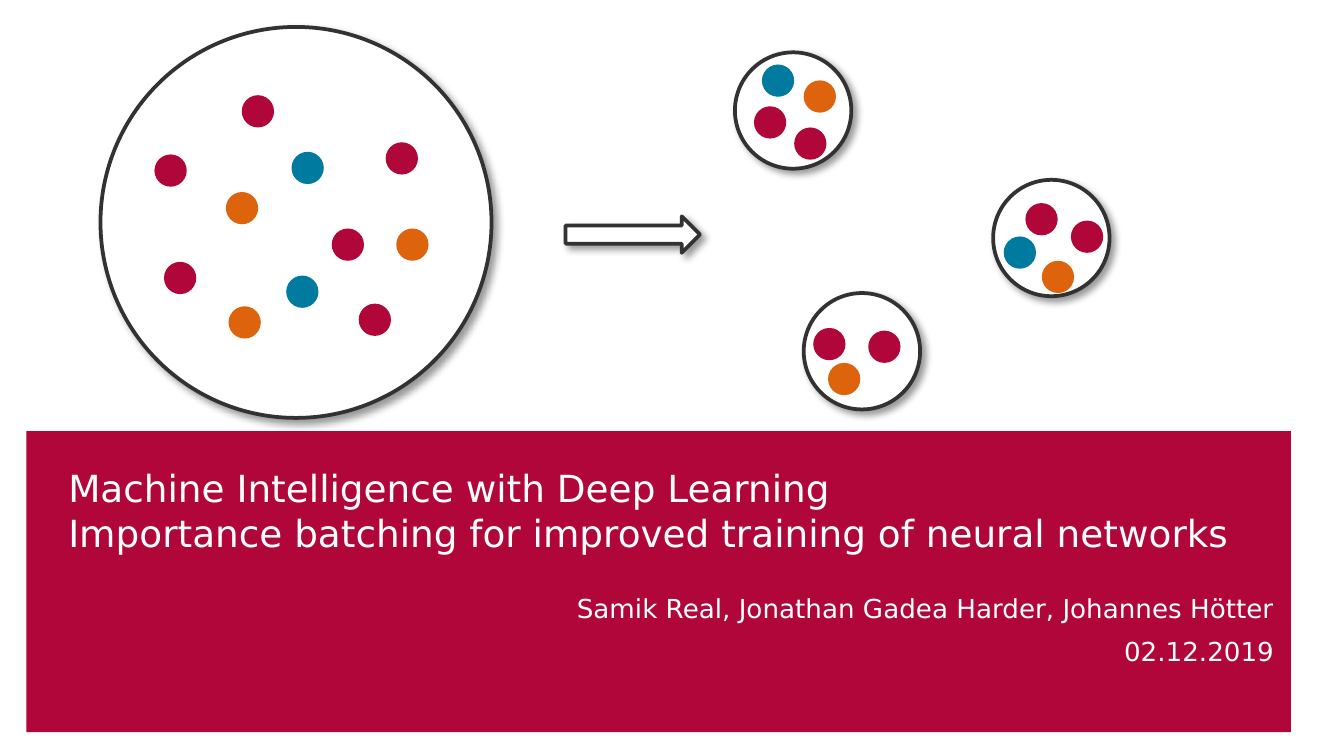
from lxml.etree import SubElement
from pptx import Presentation
from pptx.dml.color import RGBColor
from pptx.enum.shapes import MSO_SHAPE as Preset
from pptx.enum.text import MSO_ANCHOR as Anchor, MSO_AUTO_SIZE as AutoSize, PP_ALIGN as Align
from pptx.oxml.ns import qn
from pptx.util import Cm, Pt

RED = RGBColor(0xB1, 0x06, 0x3A)
ORANGE = RGBColor(0xDD, 0x64, 0x0C)
BLUE = RGBColor(0x00, 0x7A, 0x9E)
DARK = RGBColor(0x32, 0x32, 0x32)
WHITE = RGBColor(0xFF, 0xFF, 0xFF)
FONT = "DejaVu Sans"

TITLE_LINES = [
    "Machine Intelligence with Deep Learning",
    "Importance batching for improved training of neural networks",
]
DETAILS = ["Samik Real, Jonathan Gadea Harder, Johannes Hötter", "02.12.2019"]

# Lengths in centimetres: left, top, width, height
PANEL = (0.5, 8.15, 23.9, 5.69)
TITLE_BOX = (0.99, 8.13, 23.39, 2.87)
DETAILS_BOX = (0.99, 11, 23.39, 2.34)
ARROW = (10.69, 4.09, 2.54, 0.69)
SAMPLE_SIZE = 0.61
BATCH_SIZE = 2.2

# Each set: left, top, diameter, then the left and top of its samples by colour
SAMPLE_SETS = [
    (1.9, 0.51, 7.39, {
        RED: [(4.57, 1.8), (7.29, 2.69), (3.1, 4.95), (6.78, 5.74), (2.92, 2.92), (6.27, 4.32)],
        ORANGE: [(4.27, 3.63), (7.49, 4.32), (4.32, 5.79)],
        BLUE: [(5.41, 5.21), (5.51, 2.87)],
    }),
    (15.19, 5.54, BATCH_SIZE, {
        ORANGE: [(15.65, 6.86)],
        RED: [(15.37, 6.2), (16.41, 6.25)],
    }),
    (13.89, 0.99, BATCH_SIZE, {
        BLUE: [(14.4, 1.22)],
        ORANGE: [(15.19, 1.52)],
        RED: [(14.25, 2.01), (15.01, 2.41)],
    }),
    (18.77, 3.4, BATCH_SIZE, {
        BLUE: [(18.97, 4.47)],
        ORANGE: [(19.69, 4.93)],
        RED: [(19.38, 3.84), (20.24, 4.17)],
    }),
]


def add_filled(shapes, preset, box, color):
    shape = shapes.add_shape(preset, *map(Cm, box))
    shape.shadow.inherit = False
    shape.fill.solid()
    shape.fill.fore_color.rgb = color
    shape.line.fill.background()
    return shape


def add_outlined(shapes, preset, box):
    """Add a white shape with a dark outline and a soft shadow to the lower right."""
    shape = add_filled(shapes, preset, box, WHITE)
    shape.line.color.rgb = DARK
    shape.line.width = Pt(2)
    effects = shape.element.spPr.find(qn("a:effectLst"))
    shadow = SubElement(effects, qn("a:outerShdw"), blurRad=str(Pt(4)), dist=str(Pt(3)),
                        dir=str(45 * 60000), algn="tl", rotWithShape="0")
    color = SubElement(shadow, qn("a:srgbClr"), val="000000")
    SubElement(color, qn("a:alpha"), val="40000")


def place(shape, box):
    shape.left, shape.top, shape.width, shape.height = map(Cm, box)


def prepare_frame(shape, anchor, insets):
    frame = shape.text_frame
    frame.word_wrap = True
    frame.auto_size = AutoSize.NONE
    frame.vertical_anchor = anchor
    (frame.margin_left, frame.margin_top,
     frame.margin_right, frame.margin_bottom) = map(Cm, insets)
    return frame


def add_run(paragraph, text, size):
    run = paragraph.add_run()
    run.text = text
    run.font.name = FONT
    run.font.size = Pt(size)
    run.font.color.rgb = WHITE


def add_title(slide):
    title = slide.shapes.title
    place(title, TITLE_BOX)
    paragraph = prepare_frame(title, Anchor.BOTTOM, (0.3, 0, 0, 0.51)).paragraphs[0]
    paragraph.alignment = Align.LEFT
    for index, line in enumerate(TITLE_LINES):
        if index:
            paragraph.add_line_break()
        add_run(paragraph, line, 20)
    return title


def add_details(slide):
    box = slide.shapes.add_textbox(*map(Cm, DETAILS_BOX))
    frame = prepare_frame(box, Anchor.TOP, (0, 0.2, 0.3, 0))
    for index, line in enumerate(DETAILS):
        paragraph = frame.add_paragraph() if index else frame.paragraphs[0]
        paragraph.alignment = Align.RIGHT
        if index:
            paragraph.space_before = Pt(6)
        add_run(paragraph, line, 14)


def add_sample_set(slide, left, top, diameter, samples):
    shapes = slide.shapes.add_group_shape().shapes
    add_outlined(shapes, Preset.OVAL, (left, top, diameter, diameter))
    for color, corners in samples.items():
        for corner in corners:
            add_filled(shapes, Preset.OVAL, (*corner, SAMPLE_SIZE, SAMPLE_SIZE), color)


def main():
    presentation = Presentation()
    presentation.slide_width, presentation.slide_height = Cm(25.4), Cm(14.29)
    slide = presentation.slides.add_slide(presentation.slide_layouts[5])

    panel = add_filled(slide.shapes, Preset.RECTANGLE, PANEL, RED)
    title = add_title(slide)
    panel.element.addnext(title.element)  # the title lies in front of the panel
    add_details(slide)
    for sample_set in SAMPLE_SETS:
        add_sample_set(slide, *sample_set)
    add_outlined(slide.shapes, Preset.RIGHT_ARROW, ARROW)

    presentation.save("out.pptx")


if __name__ == "__main__":
    main()
